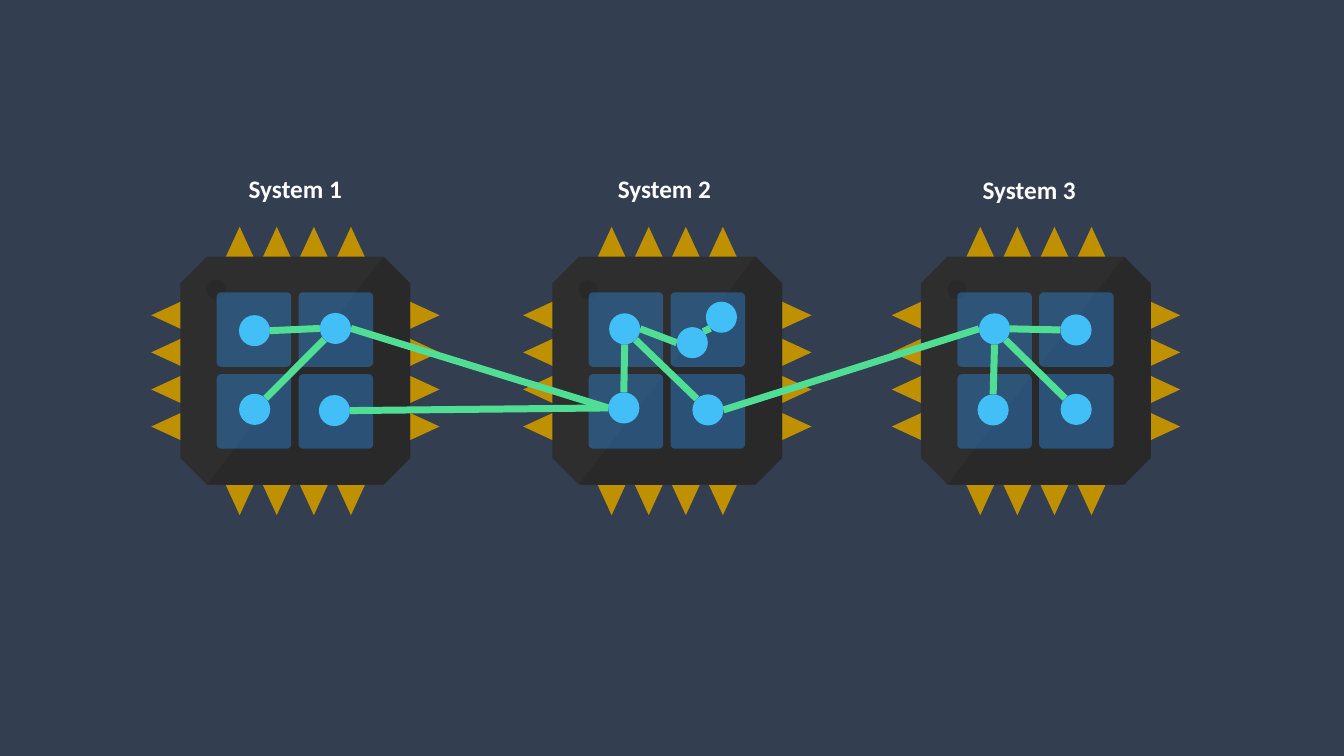
from lxml import etree
from pptx import Presentation
from pptx.dml.color import RGBColor
from pptx.enum import shapes, text
from pptx.oxml import ns
from pptx.util import Pt

SYSTEMS = [  # label, label left and top, chip left
    ("System 1", 170.6, 120.2, 108),
    ("System 2", 434.2, 120.2, 373.7),
    ("System 3", 694.8, 121, 637),
]
NODES = {  # centres, named by system and place
    "1 top left": (181.8, 236.2), "1 top right": (239.6, 234.6),
    "1 low left": (181.9, 292.4), "1 low right": (238.9, 293.3),
    "2 top left": (446.2, 234.9), "2 far right": (515.3, 226.6),
    "2 top right": (494.5, 244.8),
    "2 low left": (445.6, 291.4), "2 low right": (505.7, 292.8),
    "3 top left": (710.4, 234.9), "3 top right": (768.6, 235.7),
    "3 low left": (709.4, 292.8), "3 low right": (768.7, 292.4),
}
LINKS = [  # node, side it leaves from, node, side it reaches
    ("3 top left", "W", "2 low right", "E"),
    ("2 low left", "W", "1 top right", "E"),
    ("2 low left", "W", "1 low right", "E"),
    ("2 top left", "S", "2 low left", "N"),
    ("1 top right", "W", "1 top left", "E"),
    ("1 top right", "SW", "1 low left", "NE"),
    ("3 top left", "S", "3 low left", "N"),
    ("3 top left", "SE", "3 low right", "NW"),
    ("2 top left", "SE", "2 low right", "NW"),
    ("3 top left", "E", "3 top right", "W"),
    ("2 top right", "W", "2 top left", "E"),
    ("2 top right", "NE", "2 far right", "SW"),
]
THEME = {
    "background": "333F50", "pin": "BF9000", "body": "2E2E2E", "shade": "292929",
    "core": "2E75B6", "link": "50DE94", "node": "43BFF7", "label": "FFFFFF",
    "font": "Calibri", "label size": 18, "link width": 5, "core opacity": 55,
}
CHIP_TOP, CHIP_SIZE = 162, 206
PIN_START, PIN_PITCH, PIN_HALF, PIN_LENGTH, PINS = 63.2, 26.5, 9.9, 21.5, 4
BODY_LEFT, BODY_TOP, BODY_WIDTH, BODY_HEIGHT, BODY_CUT = 20.8, 21.4, 164.2, 162.7, 19
CORE_START, CORE_PITCH, CORE_SIZE = 46.8, 58.5, 53.2
RADIUS = 11.1
DIAGONAL = 0.71
SIDES = {"N": (0, -1), "E": (1, 0), "S": (0, 1), "W": (-1, 0),
         "NE": (DIAGONAL, -DIAGONAL), "SE": (DIAGONAL, DIAGONAL),
         "SW": (-DIAGONAL, DIAGONAL), "NW": (-DIAGONAL, -DIAGONAL)}


def color(role):
    return RGBColor.from_string(THEME[role])


def paint(shape, role):
    shape.shadow.inherit = False
    shape.fill.solid()
    shape.fill.fore_color.rgb = color(role)
    shape.line.fill.background()
    return shape


def add_preset(group, kind, role, left, top, width, height, corner=None):
    shape = group.shapes.add_shape(kind, Pt(left), Pt(top), Pt(width), Pt(height))
    if corner is not None:
        shape.adjustments[0] = corner
    return paint(shape, role)


def add_outline(group, role, left, contours):
    """Draw closed contours, given from the chip's top left, as one shape."""
    placed = [[(Pt(left + x), Pt(CHIP_TOP + y)) for x, y in contour]
              for contour in contours]
    builder = group.shapes.build_freeform(*placed[0][0])
    for number, (start, *rest) in enumerate(placed):
        if number:
            builder.move_to(*start)
        builder.add_line_segments(rest, close=True)
    return paint(builder.convert_to_shape(), role)


def pin_contours():
    """Return the pins on all four sides, mirrored and turned from the top row."""
    for number in range(PINS):
        middle = PIN_START + number * PIN_PITCH
        top = [(middle, 0), (middle + PIN_HALF, PIN_LENGTH),
               (middle - PIN_HALF, PIN_LENGTH)]
        bottom = [(x, CHIP_SIZE - y) for x, y in top]
        for row in (top, bottom):
            yield row
            yield [(y, x) for x, y in row]


def add_chip(slide, left):
    chip = slide.shapes.add_group_shape()
    add_outline(chip, "pin", left, list(pin_contours()))
    add_preset(chip, shapes.MSO_SHAPE.OCTAGON, "body", left + BODY_LEFT,
               CHIP_TOP + BODY_TOP, BODY_WIDTH, BODY_HEIGHT, BODY_CUT / BODY_HEIGHT)
    right, bottom = BODY_LEFT + BODY_WIDTH, BODY_TOP + BODY_HEIGHT
    add_outline(chip, "shade", left, [[
        (BODY_LEFT + BODY_CUT, bottom), (right - BODY_CUT, BODY_TOP),
        (right, BODY_TOP + BODY_CUT), (right, bottom - BODY_CUT),
        (right - BODY_CUT, bottom)]])
    add_preset(chip, shapes.MSO_SHAPE.OVAL, "shade", left + 39.6, CHIP_TOP + 38, 13.7, 13.7)
    for row in range(2):
        for column in range(2):
            core = add_preset(chip, shapes.MSO_SHAPE.ROUNDED_RECTANGLE, "core",
                              left + CORE_START + column * CORE_PITCH,
                              CHIP_TOP + CORE_START + row * CORE_PITCH,
                              CORE_SIZE, CORE_SIZE, 0.06)
            tint = core.fill._xPr.find(".//" + ns.qn("a:srgbClr"))
            etree.SubElement(tint, ns.qn("a:alpha"), val=str(THEME["core opacity"] * 1000))


def edge_point(node, side):
    return [Pt(centre + RADIUS * step) for centre, step in zip(NODES[node], SIDES[side])]


def add_network(slide):
    network = slide.shapes.add_group_shape()
    for start, start_side, end, end_side in LINKS:
        link = network.shapes.add_connector(
            shapes.MSO_CONNECTOR.STRAIGHT,
            *edge_point(start, start_side), *edge_point(end, end_side))
        link.line.color.rgb = color("link")
        link.line.width = Pt(THEME["link width"])
        etree.SubElement(link._element.spPr, ns.qn("a:effectLst"))
    for x, y in NODES.values():
        add_preset(network, shapes.MSO_SHAPE.OVAL, "node",
                   x - RADIUS, y - RADIUS, 2 * RADIUS, 2 * RADIUS)


def add_label(slide, name, left, top):
    frame = slide.shapes.add_textbox(Pt(left), Pt(top), Pt(90.7), Pt(29)).text_frame
    frame.text = name
    frame.word_wrap = False
    frame.auto_size = text.MSO_AUTO_SIZE.SHAPE_TO_FIT_TEXT
    font = frame.paragraphs[0].runs[0].font
    font.name, font.size, font.bold = THEME["font"], Pt(THEME["label size"]), True
    font.color.rgb = color("label")


def main():
    deck = Presentation()
    deck.slide_width, deck.slide_height = Pt(960), Pt(540)
    slide = deck.slides.add_slide(deck.slide_layouts[6])
    slide.background.fill.solid()
    slide.background.fill.fore_color.rgb = color("background")
    for _, _, _, chip_left in SYSTEMS:
        add_chip(slide, chip_left)
    add_network(slide)
    for name, left, top, _ in SYSTEMS:
        add_label(slide, name, left, top)
    deck.save("out.pptx")


if __name__ == "__main__":
    main()
